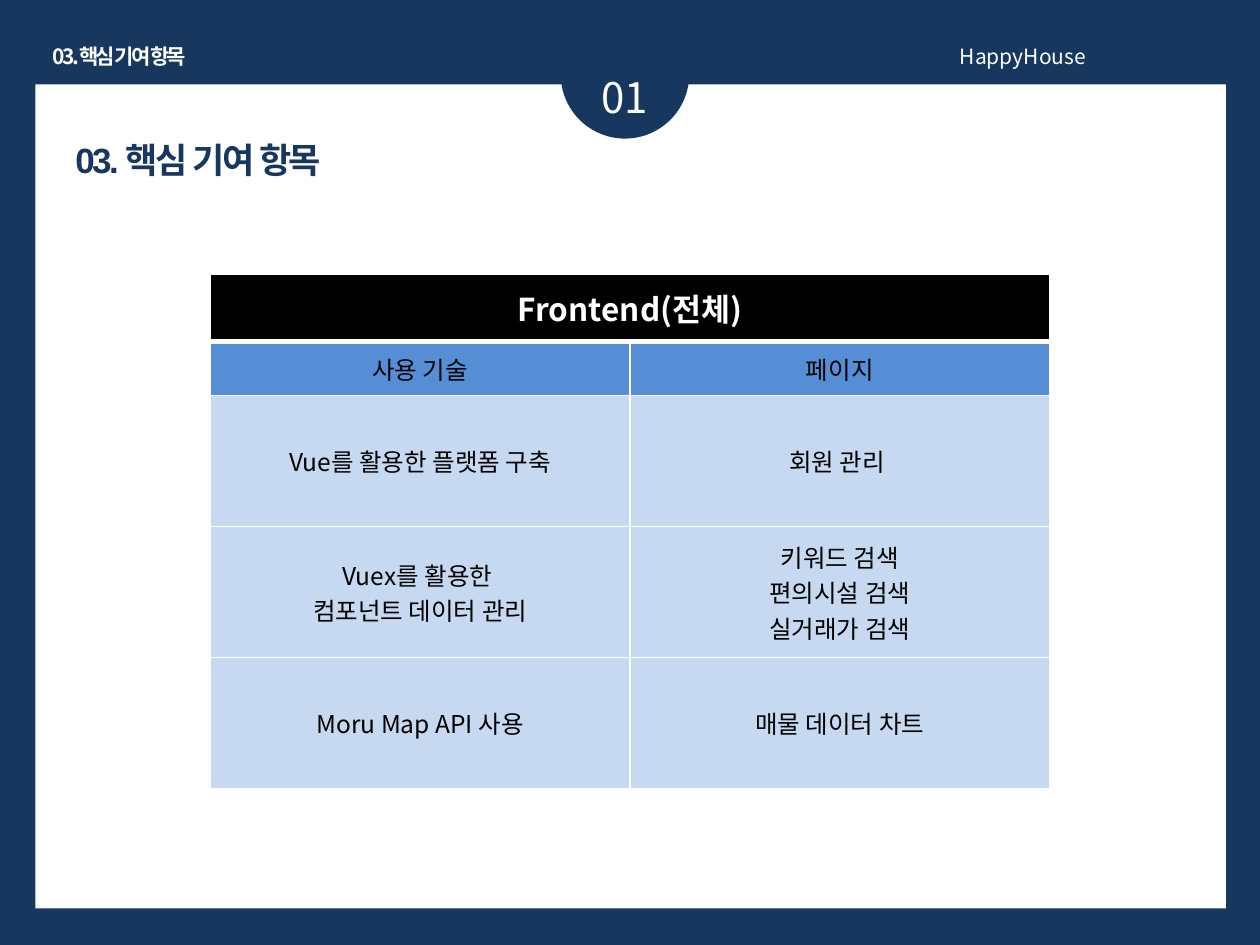
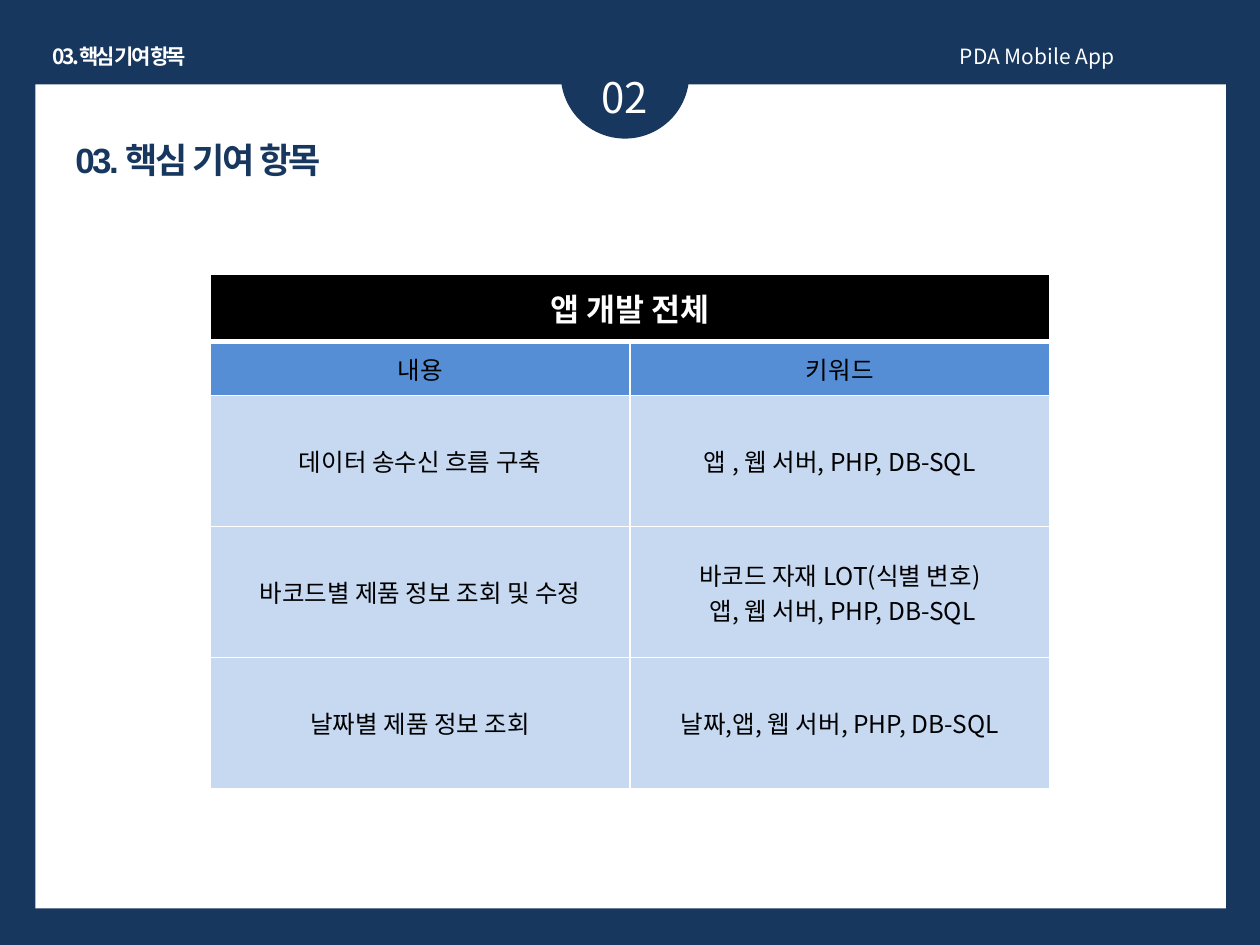
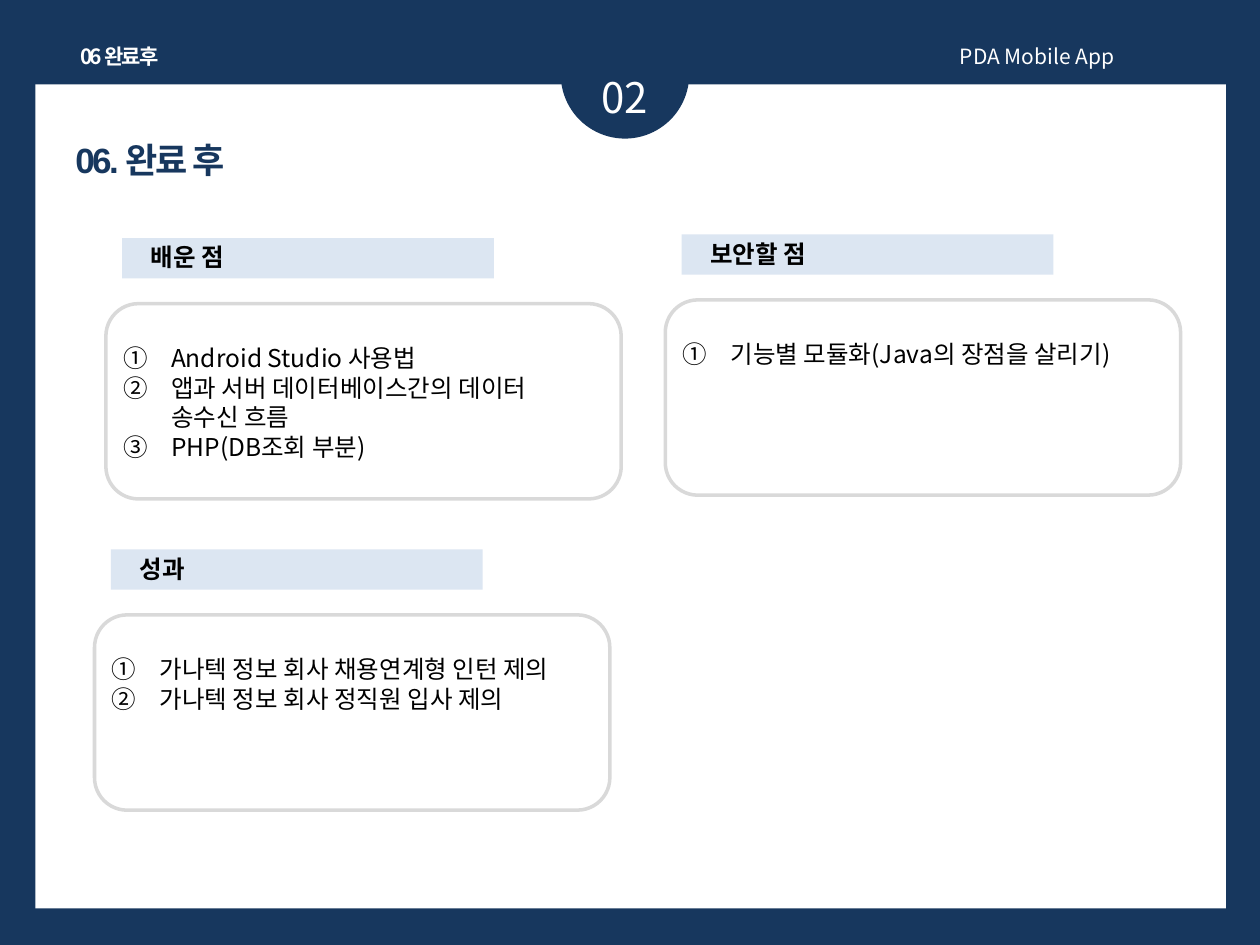
from dataclasses import dataclass
from lxml.etree import SubElement as Sub
from pptx import Presentation
from pptx.dml.color import RGBColor as Rgb
from pptx.enum.shapes import MSO_SHAPE as Kind
from pptx.enum.text import MSO_ANCHOR as Anchor, PP_ALIGN as Align
from pptx.oxml.ns import qn
from pptx.util import Inches, Pt


@dataclass(frozen=True)
class Theme:
    navy: str = "17375E"
    white: str = "FFFFFF"
    black: str = "000000"
    blue: str = "558ED5"
    sky: str = "C6D9F1"
    pale: str = "DCE6F2"
    grey: str = "D9D9D9"
    sans: str = "Noto Sans CJK KR"
    head: str = "Arial"
    small: int = 12
    body: int = 14
    band: int = 18
    title: int = 20
    mark: int = 24
    tight: int = -150


WIDE, HIGH = Inches(10), Inches(7.5)
COLS, ROWS = 100, 75


class Deck:
    """Draws on the current slide; lengths are columns and rows of the grid."""

    def __init__(self, theme):
        self.look = theme
        self.show = Presentation()
        self.show.slide_width, self.show.slide_height = WIDE, HIGH
        self.shapes = None

    def place(self, x, y, w, h):
        col, row = WIDE / COLS, HIGH / ROWS
        return [round(n) for n in (x * col, y * row, w * col, h * row)]

    def slide(self, label, spot, topic, mark, title):
        look = self.look
        page = self.show.slides.add_slide(self.show.slide_layouts[6])
        page.background.fill.solid()
        page.background.fill.fore_color.rgb = Rgb.from_string(look.navy)
        self.shapes = page.shapes
        self.shape(Kind.RECTANGLE, (2.8, 6.7, 94.5, 65.4), look.white)
        self.shape(Kind.OVAL, (44.5, 0.8, 10.2, 10.2), look.navy)
        self.text(title, (5, 10.5, 73.7, 4.4), look.title, look.navy,
                  face=look.head, bold=True, track=look.tight)
        self.text(label, spot, look.small, look.white, align=Align.CENTER,
                  bold=True, track=look.tight, wrap=False)
        self.text(mark, (43.7, 5.2, 11.8, 5), look.mark, look.white,
                  align=Align.CENTER)
        self.text(topic, (75.2, 3, 21.3, 3), look.small, look.white,
                  align=Align.JUSTIFY)

    def shape(self, kind, box, fill=None, line=None):
        item = self.shapes.add_shape(kind, *self.place(*box))
        item.shadow.inherit = False
        if fill:
            item.fill.solid()
            item.fill.fore_color.rgb = Rgb.from_string(fill)
        else:
            item.fill.background()
        if line:
            item.line.color.rgb = Rgb.from_string(line)
            item.line.width = Pt(2)
        else:
            item.line.fill.background()

    def put(self, frame, text, size, color, face=None, bold=False,
            align=None, track=None, count=False):
        """Fills a text frame, one paragraph a line; count numbers them."""
        frame.text = text
        for para in frame.paragraphs:
            if align:
                para.alignment = align
            if count:
                props = para._p.get_or_add_pPr()
                hang = Inches(0.38)
                props.set("marL", str(hang))
                props.set("indent", str(-hang))
                Sub(props, qn("a:buFont"), typeface="+mj-ea")
                Sub(props, qn("a:buAutoNum"), type="circleNumDbPlain")
            font = para.font
            font.size, font.bold = Pt(size), bold
            font.color.rgb = Rgb.from_string(color)
            font.name = face or self.look.sans
            mark = para._p.pPr.find(qn("a:defRPr"))
            Sub(mark, qn("a:ea"), typeface=font.name)
            if track:
                mark.set("spc", str(track))

    def text(self, text, box, size, color, wrap=True, **style):
        frame = self.shapes.add_textbox(*self.place(*box)).text_frame
        frame.word_wrap = wrap
        self.put(frame, text, size, color, **style)

    def edge(self, cell, low):
        """White cell borders, the bottom one as wide as low."""
        props = cell._tc.get_or_add_tcPr()
        for i, side in enumerate(("lnL", "lnR", "lnT", "lnB")):
            width = Pt(low if side == "lnB" else 1)
            line = Sub(props, qn("a:" + side), w=str(width))
            fill = Sub(line, qn("a:solidFill"))
            Sub(fill, qn("a:srgbClr"), val=self.look.white)
            props.remove(line)
            props.insert(i, line)

    def table(self, band, rows):
        look = self.look
        tall = [5.3, 4.3] + [10.4] * (len(rows) - 1)
        box = self.place(16.7, 21.8, 66.6, sum(tall))
        grid = self.shapes.add_table(len(tall), 2, *box).table
        grid.first_row = grid.horz_banding = False
        for row, size in zip(grid.rows, tall):
            row.height = round(size * HIGH / ROWS)
        grid.cell(0, 0).merge(grid.cell(0, 1))
        fills = [look.black, look.blue] + [look.sky] * (len(rows) - 1)
        for r, (words, fill) in enumerate(zip([(band, "")] + rows, fills)):
            top = r == 0
            for c, word in enumerate(words):
                cell = grid.cell(r, c)
                cell.vertical_anchor = Anchor.MIDDLE
                cell.fill.solid()
                cell.fill.fore_color.rgb = Rgb.from_string(fill)
                self.edge(cell, 3 if top else 1)
                if word:
                    self.put(cell.text_frame, word,
                             look.band if top else look.body,
                             look.white if top else look.black,
                             bold=top, align=Align.CENTER)

    def card(self, x, y, head, items):
        """A headed, numbered list whose frame has its left top at x, y."""
        look, page = self.look, self.shapes
        self.shapes = page.add_group_shape().shapes
        self.shape(Kind.RECTANGLE, (x + 1.3, y - 5.2, 29.5, 3.2), look.pale)
        self.shape(Kind.ROUNDED_RECTANGLE, (x, y, 40.9, 15.5), line=look.grey)
        self.text("\n".join(items), (x + 0.4, y + 2.65, 39.4, 12.8),
                  look.body, look.black, count=True)
        self.text(head, (x + 2.6, y - 5.35, 28, 3.4), look.body, look.black,
                  bold=True)
        self.shapes = page


def main():
    deck = Deck(Theme())
    core = ("03.핵심 기여 항목", (2.8, 3, 13.4, 3))
    name = "03. 핵심 기여 항목"
    app = "PDA Mobile App"

    deck.slide(*core, "HappyHouse", "01", name)
    deck.table("Frontend(전체)", [
        ("사용 기술", "페이지"),
        ("Vue를 활용한 플랫폼 구축", "회원 관리 "),
        ("Vuex를 활용한 \n컴포넌트 데이터 관리",
         "키워드 검색\n편의시설 검색\n실거래가 검색"),
        ("Moru Map API 사용", "매물 데이터 차트"),
    ])

    deck.slide(*core, app, "02", name)
    deck.table("앱 개발 전체", [
        ("내용", "키워드"),
        ("데이터 송수신 흐름 구축", "앱 , 웹 서버, PHP, DB-SQL"),
        ("바코드별 제품 정보 조회 및 수정",
         "바코드 자재 LOT(식별 변호)\n 앱, 웹 서버, PHP, DB-SQL"),
        ("날짜별 제품 정보 조회", "날짜,앱, 웹 서버, PHP, DB-SQL"),
    ])

    deck.slide("06 완료 후", (5.1, 3, 8.8, 3), app, "02", "06. 완료 후")
    deck.card(52.8, 23.8, "보안할 점", ["기능별 모듈화(Java의 장점을 살리기)"])
    deck.card(8.4, 24.1, "배운 점", [
        "Android Studio 사용법",
        "앱과 서버 데이터베이스간의 데이터 송수신 흐름",
        "PHP(DB조회 부분)",
    ])
    deck.card(7.5, 48.8, "성과", [
        "가나텍 정보 회사 채용연계형 인턴 제의",
        "가나텍 정보 회사 정직원 입사 제의",
    ])
    deck.show.save("out.pptx")


if __name__ == "__main__":
    main()
